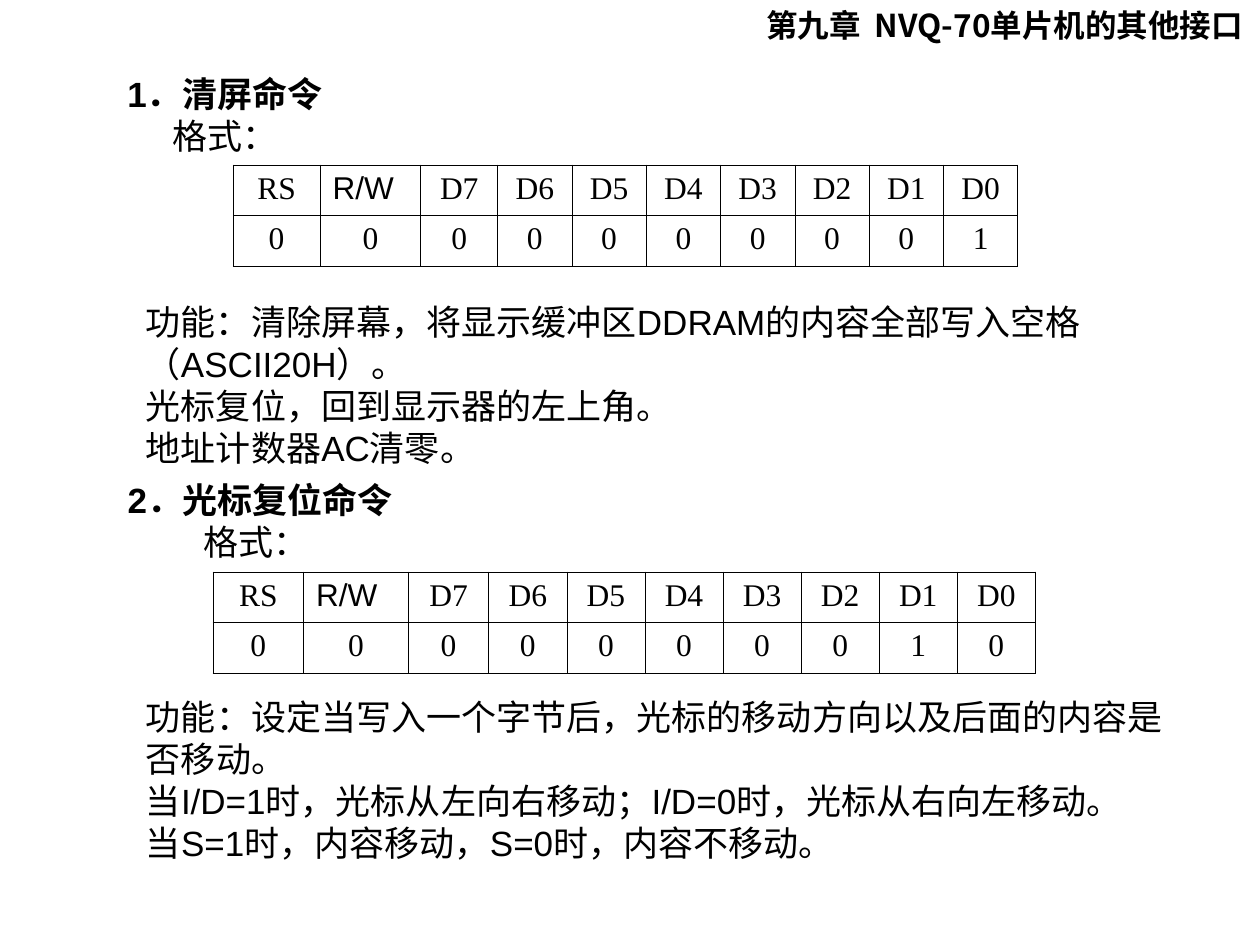
from lxml import etree
from pptx import Presentation
from pptx.dml.color import RGBColor
from pptx.enum.text import MSO_ANCHOR, MSO_AUTO_SIZE, PP_ALIGN
from pptx.oxml.ns import qn
from pptx.util import Inches, Pt

LEFT, CENTER = PP_ALIGN.LEFT, PP_ALIGN.CENTER
TOP, MIDDLE = MSO_ANCHOR.TOP, MSO_ANCHOR.MIDDLE
FIT_SHAPE = MSO_AUTO_SIZE.SHAPE_TO_FIT_TEXT
TITLE_ONLY = 5
COLORS = {"ink": "000000"}
SANS, SERIF, CHINESE = "Arial", "Times New Roman", "Noto Sans CJK JP"
ROW_HEIGHT = 0.4

CHAPTER = "第九章  NVQ-70单片机的其他接口"
CHAPTER_AREA = (5.98, 0, 4.02, 0.7)
SIGNALS = ["RS", "R/W", "D7", "D6", "D5", "D4", "D3", "D2", "D1", "D0"]
COMMANDS = [
    {
        "heading": ["1．清屏命令", "格式："],
        "heading_area": (0.88, 0.52, 1.81, 0.77),
        "code": "0000000001",
        "table_at": (1.85, 1.31),
        "columns": [0.69, 0.8, 0.61] + [0.59] * 7,
        "function": [
            "功能：清除屏幕，将显示缓冲区DDRAM的内容全部写入空格（ASCII20H）。",
            "光标复位，回到显示器的左上角。",
            "地址计数器AC清零。",
        ],
        "function_area": (1.06, 2.33, 7.8, 1.44),
    },
    {
        "heading": ["2．光标复位命令", "格式： "],
        "heading_area": (0.88, 3.75, 2.37, 0.77),
        "code": "0000000010",
        "table_at": (1.69, 4.54),
        "columns": [0.72, 0.83, 0.64] + [0.62] * 7,
        "function": [
            "功能：设定当写入一个字节后，光标的移动方向以及后面的内容是否移动。",
            "当I/D=1时，光标从左向右移动；I/D=0时，光标从右向左移动。",
            "当S=1时，内容移动，S=0时，内容不移动。",
        ],
        "function_area": (1.06, 5.47, 8.35, 1.44),
    },
]


def format_para(para, size, font, align=LEFT, bold=False):
    """Style a paragraph and its runs."""
    para.alignment = align
    for run in para.runs:
        run.font.size, run.font.name, run.font.bold = Pt(size), font, bold
        run.font.color.rgb = RGBColor.from_string(COLORS["ink"])
        east_asian = etree.SubElement(run.font._element, qn("a:ea"))
        east_asian.set("typeface", CHINESE)


def add_text(slide, lines, area, align=LEFT, wrap=True, bold_first=False):
    """Add a text box with one paragraph per line."""
    box = slide.shapes.add_textbox(*map(Inches, area))
    frame = box.text_frame
    frame.text = "\n".join(lines)
    frame.word_wrap, frame.vertical_anchor, frame.auto_size = wrap, MIDDLE, FIT_SHAPE
    for index, para in enumerate(frame.paragraphs):
        format_para(para, 20, SANS, align, bold_first and index == 0)


def set_borders(cell, width):
    """Draw solid lines on all four sides of a cell."""
    properties = cell._tc.get_or_add_tcPr()
    for index, side in enumerate(("a:lnL", "a:lnR", "a:lnT", "a:lnB")):
        line = etree.Element(qn(side), w=str(Pt(width)))
        fill = etree.SubElement(line, qn("a:solidFill"))
        etree.SubElement(fill, qn("a:srgbClr"), val=COLORS["ink"])
        properties.insert(index, line)


def add_code_table(slide, code, position, columns):
    """Add the signal names with the command code below them."""
    rows = [SIGNALS, list(code)]
    size = (sum(columns), ROW_HEIGHT * len(rows))
    frame = slide.shapes.add_table(len(rows), len(columns), *map(Inches, position + size))
    table = frame.table
    table.first_row = table.horz_banding = False
    for column, width in zip(table.columns, columns):
        column.width = Inches(width)
    for row_index, values in enumerate(rows):
        table.rows[row_index].height = Inches(ROW_HEIGHT)
        for column_index, value in enumerate(values):
            cell = table.cell(row_index, column_index)
            cell.text = value
            cell.fill.background()
            set_borders(cell, 0.45)
            para = cell.text_frame.paragraphs[0]
            if value == "R/W":
                format_para(para, 18, SANS)
                para.space_before = Pt(4.5)
            else:
                format_para(para, 18, SERIF, CENTER)


def main():
    """Build the slide on display commands."""
    deck = Presentation()
    deck.slide_width, deck.slide_height = Inches(10), Inches(7.5)
    page = deck.slides.add_slide(deck.slide_layouts[TITLE_ONLY])
    title = page.shapes.title
    title.left, title.top, title.width, title.height = map(Inches, CHAPTER_AREA)
    frame = title.text_frame
    frame.text = CHAPTER
    frame.word_wrap, frame.vertical_anchor, frame.auto_size = True, TOP, FIT_SHAPE
    format_para(frame.paragraphs[0], 18, CHINESE, bold=True)
    for command in COMMANDS:
        add_text(page, command["heading"], command["heading_area"], CENTER, False, True)
        add_code_table(page, command["code"], command["table_at"], command["columns"])
        add_text(page, command["function"], command["function_area"])
    deck.save("out.pptx")


if __name__ == "__main__":
    main()
